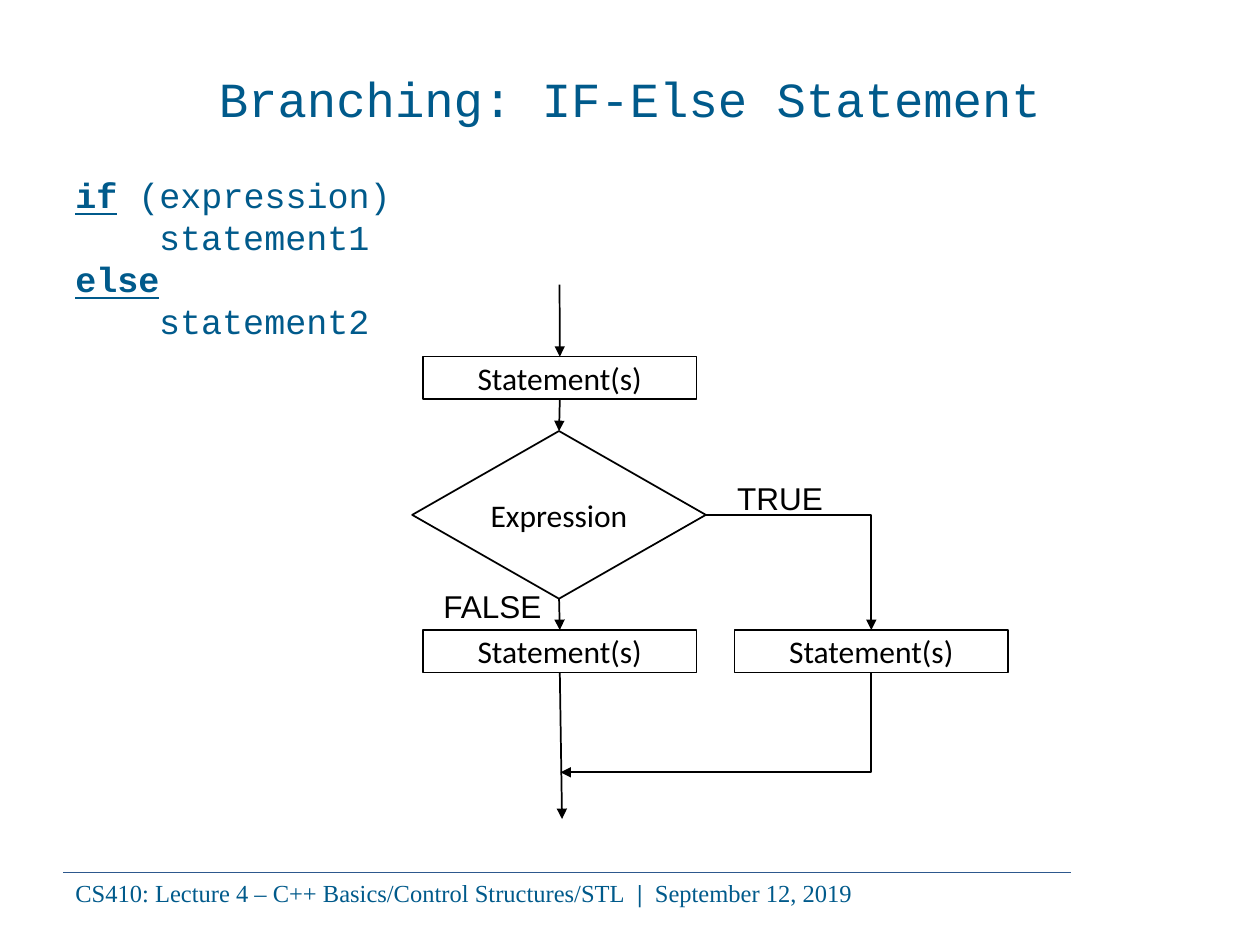
from dataclasses import dataclass

from lxml.etree import SubElement
from pptx import Presentation
from pptx.dml.color import RGBColor as Rgb
from pptx.enum.shapes import MSO_CONNECTOR as Link, MSO_SHAPE as Kind
from pptx.enum.text import MSO_ANCHOR as Anchor, MSO_AUTO_SIZE as Fit, PP_ALIGN as Align
from pptx.oxml.ns import qn
from pptx.util import Cm, Pt


@dataclass(frozen=True)
class Theme:
    blue: Rgb = Rgb(0x00, 0x5A, 0x8B)
    rule: Rgb = Rgb(0x2D, 0x58, 0x8D)
    ink: Rgb = Rgb(0, 0, 0)
    code: str = "Courier New"
    box: str = "Calibri"
    label: str = "Arial"
    foot: str = "Times New Roman"
    title_size: int = 28
    code_size: int = 20
    flow_size: int = 18
    foot_size: int = 14


THEME = Theme()
TOP, LEFT, BOTTOM, RIGHT = range(4)


def style(para, face, size, color):
    para.font.name = face
    para.font.size = Pt(size)
    para.font.color.rgb = color


def add_text(slide, *area):
    frame = slide.shapes.add_textbox(*map(Cm, area)).text_frame
    frame.word_wrap = True
    return frame


def set_title(slide, text):
    title = slide.shapes.title
    title.left, title.top, title.width, title.height = map(Cm, (1.27, 0.76, 22.86, 2.41))
    frame = title.text_frame
    frame.text = text
    frame.auto_size = Fit.NONE
    frame.vertical_anchor = Anchor.MIDDLE
    para = frame.paragraphs[0]
    para.alignment = Align.CENTER
    style(para, THEME.code, THEME.title_size, THEME.blue)


def add_code(slide, lines):
    """Each line is a keyword, the rest of the line, and its indent in cm."""
    frame = add_text(slide, 1.27, 3.38, 21.79, 4.24)
    for i, (key, rest, indent) in enumerate(lines):
        para = frame.paragraphs[0] if i == 0 else frame.add_paragraph()
        style(para, THEME.code, THEME.code_size, THEME.blue)
        para.line_spacing = Pt(24)
        para.space_before = Pt(0 if i else 4)
        para._p.get_or_add_pPr().set("marL", str(Cm(indent)))
        if key:
            run = para.add_run()
            run.text = key
            run.font.bold = run.font.underline = True
        if rest:
            para.add_run().text = rest


def add_node(slide, kind, text, *area):
    node = slide.shapes.add_shape(kind, *map(Cm, area))
    node.shadow.inherit = False
    node.fill.background()
    node.line.color.rgb = THEME.ink
    node.line.width = Pt(1)
    frame = node.text_frame
    frame.margin_left = frame.margin_right = 0
    frame.vertical_anchor = Anchor.MIDDLE
    frame.text = text
    para = frame.paragraphs[0]
    para.alignment = Align.CENTER
    style(para, THEME.box, THEME.flow_size, THEME.ink)
    return node


def add_label(slide, text, *area):
    frame = add_text(slide, *area)
    frame.text = text
    style(frame.paragraphs[0], THEME.label, THEME.flow_size, THEME.ink)


def add_line(slide, start, end, kind=Link.STRAIGHT, color=THEME.ink, width=1, head=True):
    line = slide.shapes.add_connector(kind, *map(Cm, start + end))
    line.line.color.rgb = color
    line.line.width = Pt(width)
    if head:
        SubElement(line.line._get_or_add_ln(), qn("a:tailEnd"), type="triangle")
    SubElement(line._element.spPr, qn("a:effectLst"))
    return line


def add_arrow(slide, start, end):
    """Straight arrow; each end is a point or a (node, side) pair."""
    spots = [spot if isinstance(spot[0], float) else (0, 0) for spot in (start, end)]
    line = add_line(slide, *spots)
    if spots[0] != start:
        line.begin_connect(*start)
    if spots[1] != end:
        line.end_connect(*end)


def add_bend(slide, start, end, turned=False):
    """One-corner arrow: right then down, or, if turned, down then left."""
    (x1, y1), (x2, y2) = start, end
    if turned:
        # The frame before a quarter turn has width and height swapped.
        midx, midy = (x1 + x2) / 2, (y1 + y2) / 2
        halfw, halfh = abs(y2 - y1) / 2, abs(x2 - x1) / 2
        start, end = (midx - halfw, midy - halfh), (midx + halfw, midy + halfh)
    props = add_line(slide, start, end, Link.ELBOW)._element.spPr
    props.find(qn("a:prstGeom")).set("prst", "bentConnector2")
    if turned:
        props.find(qn("a:xfrm")).set("rot", str(90 * 60000))


def add_footer(slide, parts):
    add_line(slide, (1.27, 17.58), (21.59, 17.58), color=THEME.rule, width=0.5, head=False)
    para = add_text(slide, 1.27, 17.58, 20.75, 0.86).paragraphs[0]
    style(para, THEME.foot, THEME.foot_size, THEME.blue)
    for text, bold in parts:
        run = para.add_run()
        run.text = text
        run.font.bold = bold


def add_flow(slide):
    size = 5.51, 0.86
    first, yes, no = (
        add_node(slide, Kind.RECTANGLE, "Statement(s)", x, y, *size)
        for x, y in ((8.53, 7.19), (14.81, 12.7), (8.53, 12.7))
    )
    test = add_node(slide, Kind.DIAMOND, "Expression", 8.31, 8.69, 5.92, 3.38)
    add_arrow(slide, (11.28, 5.74), (first, TOP))
    add_arrow(slide, (first, BOTTOM), (test, TOP))
    add_arrow(slide, (test, BOTTOM), (no, TOP))
    add_arrow(slide, (no, BOTTOM), (11.33, 16.51))
    mid = (yes.left + yes.width / 2) / Cm(1)
    add_bend(slide, (14.23, 10.38), (mid, 12.7))
    add_bend(slide, (mid, 13.56), (11.3, 15.57), turned=True)
    add_label(slide, "TRUE", 14.61, 9.53, 2.74, 1.02)
    add_label(slide, "FALSE", 8.69, 11.71, 2.69, 1.02)


def main():
    deck = Presentation()
    deck.slide_width, deck.slide_height = Cm(25.4), Cm(19.05)
    slide = deck.slides.add_slide(deck.slide_layouts[5])
    set_title(slide, "Branching: IF-Else Statement")
    add_code(slide, [
        ("if", " (expression)", 0),
        ("", "statement1", 1.69),
        ("else", "", 0),
        ("", "statement2", 1.69),
    ])
    add_flow(slide)
    add_footer(slide, [
        ("CS410: Lecture 4 – C++ Basics/Control Structures/STL  ", False),
        ("|  ", True),
        ("September 12, 2019", False),
    ])
    deck.save("out.pptx")


if __name__ == "__main__":
    main()
